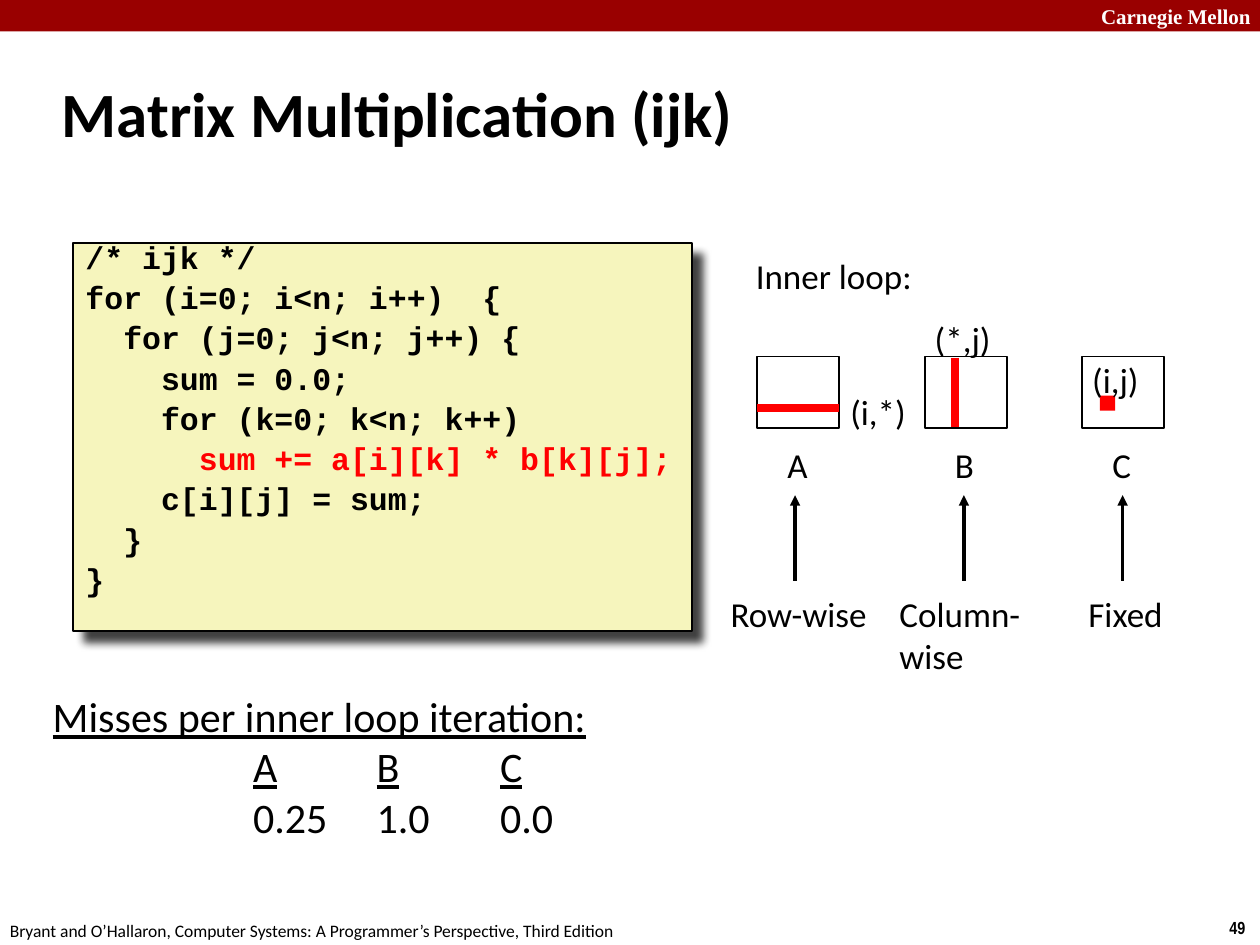
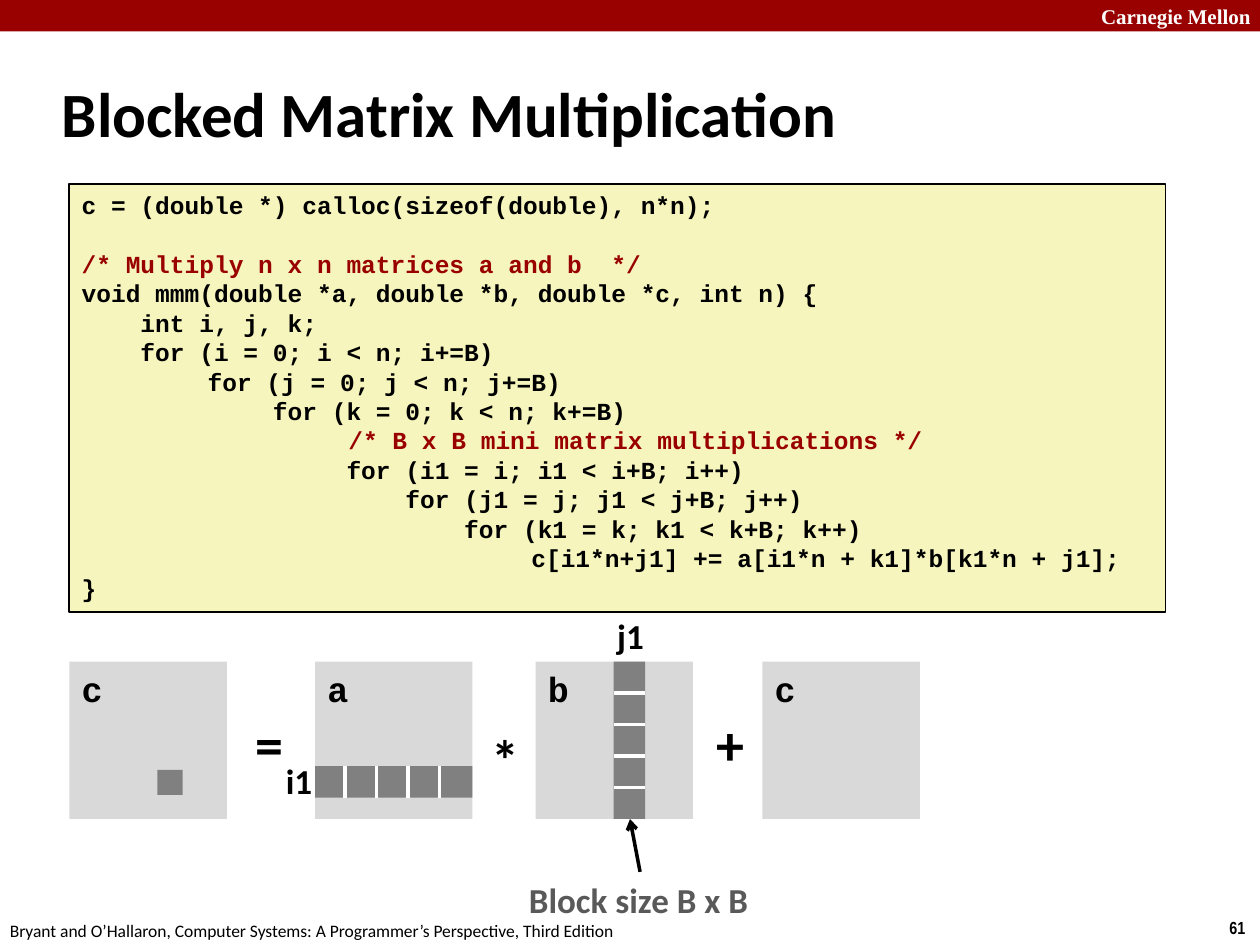
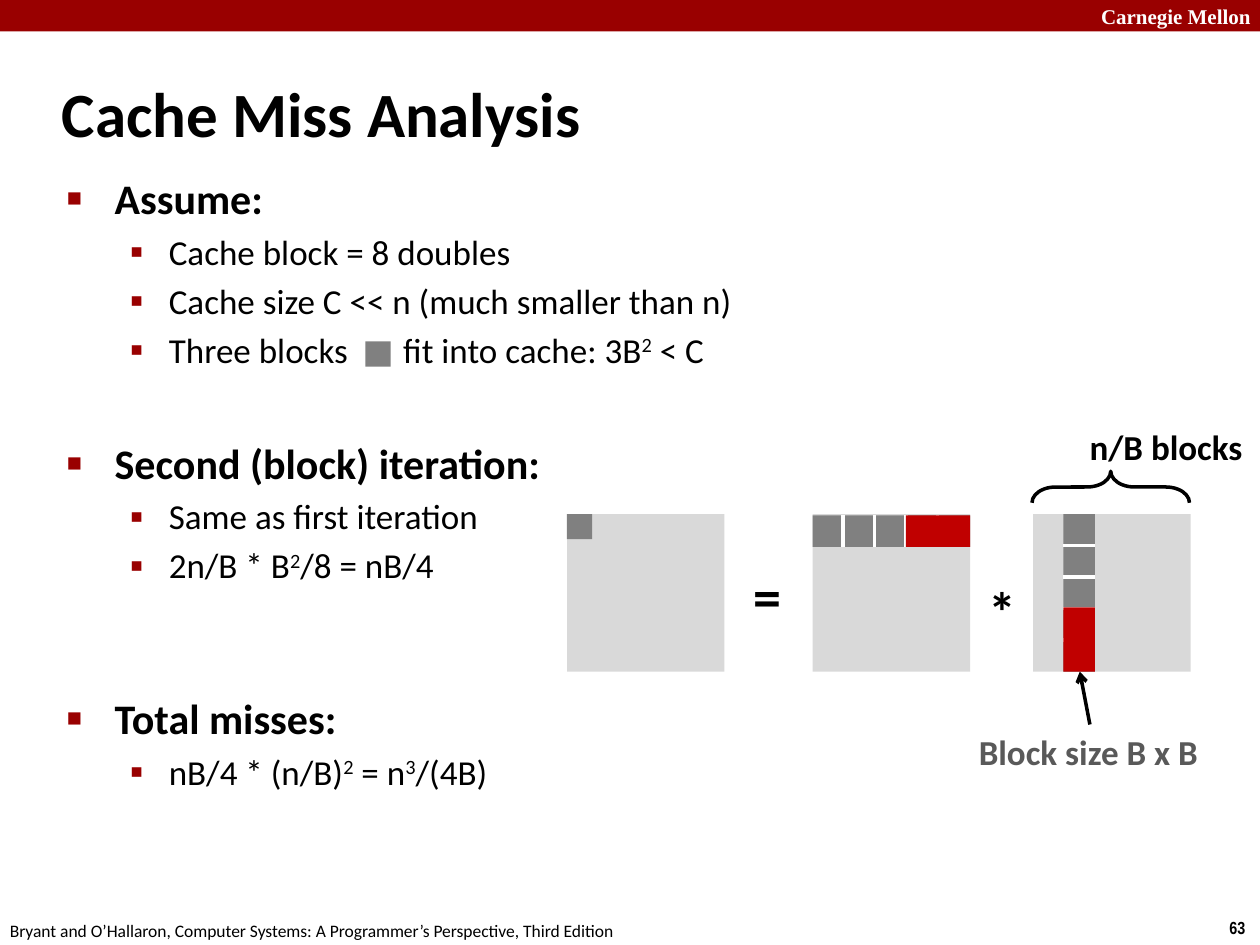
import dataclasses

import lxml.etree
import pptx
import pptx.dml.color
import pptx.enum.shapes
import pptx.enum.text
import pptx.oxml.ns
import pptx.util

Inches = pptx.util.Inches
Pt = pptx.util.Pt
qn = pptx.oxml.ns.qn
SHAPE = pptx.enum.shapes.MSO_SHAPE
ANCHOR = pptx.enum.text.MSO_ANCHOR
ALIGN = pptx.enum.text.PP_ALIGN


@dataclasses.dataclass(frozen=True)
class Theme:
    # Colours
    black: str = "000000"
    white: str = "FFFFFF"
    crimson: str = "990000"
    code_fill: str = "F6F5BD"
    red: str = "FF0000"
    miss: str = "C00000"
    matrix: str = "D9D9D9"
    block: str = "808080"
    caption: str = "595959"
    # Fonts
    sans: str = "Calibri"
    code: str = "Courier New"
    serif: str = "Times New Roman"
    narrow: str = "Arial Narrow"
    # Type sizes
    title: int = 36
    operator: int = 32
    heading: int = 24
    label: int = 20
    short_code: int = 18
    long_code: int = 14
    band: int = 12
    footer: int = 10


THEME = Theme()
FOOTER = "Bryant and O’Hallaron, Computer Systems: A Programmer’s Perspective, Third Edition"
MATRIX_SIDE = 1.25
STRIP = 0.25
SUPER = {"raised": True}


def rgb(color):
    return pptx.dml.color.RGBColor.from_string(color)


def child(parent, tag, **attributes):
    return lxml.etree.SubElement(parent, qn(tag), attributes)


def add_text(frame, text, *, size=THEME.label, font=THEME.sans, color=THEME.black,
             bold=False, before=None, leading=None, level=0, bullet=None, tabs=()):
    """Append a paragraph; text is a string or a list of strings and (string, format) pairs."""
    para = frame.paragraphs[0]
    first = len(frame.paragraphs) == 1 and not para.runs
    if not first:
        para = frame.add_paragraph()
    properties = para._p.get_or_add_pPr()
    if bullet:
        symbol, percent, margin, hang = bullet
        properties.set("marL", str(Inches(margin)))
        properties.set("indent", str(-Inches(hang)))
        child(child(properties, "a:buClr"), "a:srgbClr", val=THEME.crimson)
        child(properties, "a:buSzPct", val=str(percent * 1000))
        child(properties, "a:buFont", typeface="Arial")
        child(properties, "a:buChar", char=symbol)
    if tabs:
        stops = child(properties, "a:tabLst")
        for position in tabs:
            child(stops, "a:tab", pos=str(Inches(position)), algn="l")
    para.level = level
    para.alignment = ALIGN.LEFT
    para.space_before = Pt(0 if first else before or 0)
    if leading:
        para.line_spacing = leading
    for part in [text] if isinstance(text, str) else text:
        words, style = (part, {}) if isinstance(part, str) else part
        span = para.add_run()
        span.text = words
        span.font.size = Pt(size)
        span.font.name = font
        span.font.bold = bold
        span.font.underline = style.get("underline", False)
        span.font.color.rgb = rgb(style.get("color", color))
        if style.get("raised"):
            span._r.get_or_add_rPr().set("baseline", "30000")
        if "spacing" in style:
            span._r.get_or_add_rPr().set("spc", str(style["spacing"] * 100))


class Lecture:
    """Holds the deck, its style and the current page."""

    def __init__(self, theme):
        self.theme = theme
        self.deck = pptx.Presentation()
        self.deck.slide_width = Inches(10)
        self.deck.slide_height = Inches(7.5)
        self.page = None

    def start_page(self, title, number, layout="Title Only"):
        theme = self.theme
        self.page = self.deck.slides.add_slide(self.deck.slide_layouts.get_by_name(layout))
        # Band and footer
        self.rectangle(0, 0, 10, 0.25, theme.crimson)
        self.label(8.64, 0, 1.36, "Carnegie Mellon", height=0.25, anchor=ANCHOR.MIDDLE,
                   size=theme.band, font=theme.serif, color=theme.white, bold=True)
        self.label(9.66, 7.23, 0.34, str(number), height=0.27,
                   size=theme.footer, font=theme.narrow, bold=True)
        self.label(-0.02, 7.25, 5.08, FOOTER, height=0.27, size=theme.footer)
        # Title
        frame = self.place(self.page.shapes.title, 0.39, 0.48, 8.3, 0.83)
        frame.vertical_anchor = ANCHOR.MIDDLE
        add_text(frame, title, size=theme.title, bold=True)

    def place(self, holder, left, top, width, height):
        holder.left, holder.top = Inches(left), Inches(top)
        holder.width, holder.height = Inches(width), Inches(height)
        holder.text_frame.auto_size = pptx.enum.text.MSO_AUTO_SIZE.NONE
        return holder.text_frame

    def bullets(self, items):
        theme = self.theme
        frame = self.place(self.page.placeholders[1], 0.43, 1.32, 8.64, 5.84)
        for level, text, before in items:
            if level:
                add_text(frame, text, level=1, before=before, bullet=("▪", 110, 0.81, 0.31))
            else:
                add_text(frame, text, size=theme.heading, bold=True, before=before,
                         bullet=("■", 60, 0.38, 0.38))

    def label(self, left, top, width, *lines, height=0.44, anchor=ANCHOR.TOP, **style):
        box = self.page.shapes.add_textbox(Inches(left), Inches(top),
                                           Inches(width), Inches(height))
        frame = box.text_frame
        frame.word_wrap = True
        frame.margin_right = 0
        frame.vertical_anchor = anchor
        for line in lines:
            add_text(frame, line, **style)

    def shape(self, kind, left, top, width, height, fill=None, line=None, weight=1):
        shape = self.page.shapes.add_shape(kind, Inches(left), Inches(top),
                                           Inches(width), Inches(height))
        shape.shadow.inherit = False
        if fill:
            shape.fill.solid()
            shape.fill.fore_color.rgb = rgb(fill)
        else:
            shape.fill.background()
        if line:
            shape.line.color.rgb = rgb(line)
            shape.line.width = Pt(weight)
        else:
            shape.line.fill.background()
        shape.text_frame.vertical_anchor = ANCHOR.TOP
        return shape

    def rectangle(self, left, top, width, height, fill, line=None):
        return self.shape(SHAPE.RECTANGLE, left, top, width, height, fill, line)

    def code_box(self, left, top, width, height, lines, size, shadow=False, gaps=None,
                 before=0, **style):
        theme = self.theme
        box = self.rectangle(left, top, width, height, theme.code_fill, theme.black)
        if shadow:
            effects = box._element.spPr.find(qn("a:effectLst"))
            outer = child(effects, "a:outerShdw", blurRad=str(Pt(5)), dist=str(Pt(8.5)),
                          dir="2700000", algn="tl", rotWithShape="0")
            child(child(outer, "a:srgbClr", val=theme.black), "a:alpha", val="75000")
        for index, line in enumerate(lines):
            add_text(box.text_frame, line, size=size, font=theme.code, bold=True,
                     before=(gaps or {}).get(index, before), **style)

    def line(self, start, end, color, weight=2.0, arrow=None):
        connector = self.page.shapes.add_connector(
            pptx.enum.shapes.MSO_CONNECTOR.STRAIGHT,
            Inches(start[0]), Inches(start[1]), Inches(end[0]), Inches(end[1]))
        connector.line.color.rgb = rgb(color)
        connector.line.width = Pt(weight)
        properties = connector._element.spPr
        if arrow:
            child(properties.find(qn("a:ln")), "a:tailEnd", type=arrow)
        child(properties, "a:effectLst")

    def matrix(self, left, top, name=None):
        square = self.rectangle(left, top, MATRIX_SIDE, MATRIX_SIDE, self.theme.matrix)
        if name:
            add_text(square.text_frame, name, font=self.theme.code, bold=True)

    def block(self, left, top):
        self.rectangle(left, top, 0.2, 0.2, self.theme.block)

    def block_product(self, left, top, target, row, column, names=(None, None, None)):
        """Draw c = a * b with a marked block of c, block row of a and block column of b."""
        theme = self.theme
        for offset, name in zip((0, 1.95, 3.7), names):
            self.matrix(left + offset, top, name)
        for offset, drop, sign in ((1.38, 0.33, "="), (3.25, 0.45, "*")):
            self.label(left + offset, top + drop, 0.43, sign, height=0.64,
                       size=theme.operator, bold=True)
        self.block(left + target[0], top + target[1])
        # Block row and block column, cut into five
        row_left, row_top = left + 1.95, top + row
        column_left = left + 3.7 + column
        self.rectangle(row_left, row_top, MATRIX_SIDE, STRIP, theme.block)
        self.rectangle(column_left, top, STRIP, MATRIX_SIDE, theme.block)
        for cut in range(1, 5):
            x = row_left + cut * STRIP - 0.01
            y = top + cut * STRIP
            self.line((x, row_top), (x, row_top + STRIP), theme.white)
            self.line((column_left, y), (column_left + STRIP, y), theme.white)
        # Block size caption
        self.label(column_left - 0.77, top + 1.67, 1.96, "Block size B x B",
                   color=theme.caption, bold=True)
        self.line((column_left + 0.21, top + 1.67), (column_left + 0.13, top + MATRIX_SIDE),
                  theme.black, arrow="arrow")


def build_ijk(lecture):
    theme = lecture.theme
    lecture.start_page("Matrix Multiplication (ijk)", 49)
    lecture.code_box(0.58, 1.93, 4.91, 3.08, [
        "/* ijk */",
        "for (i=0; i<n; i++)  {",
        "  for (j=0; j<n; j++) {",
        "    sum = 0.0;",
        "    for (k=0; k<n; k++)",
        ["      ", ("sum += a[i][k] * b[k][j];", {"color": theme.red})],
        "    c[i][j] = sum;",
        "  }",
        "}",
    ], size=theme.short_code, shadow=True, before=9, leading=0.65)

    # Access pattern of each matrix
    lecture.label(5.9, 1.97, 1.45, "Inner loop:")
    for name, left, arrow, text_left, width, pattern in (
            ("A", 6.01, 6.31, 5.7, 1.3, ["Row-wise"]),
            ("B", 7.34, 7.65, 7.04, 1.17, ["Column-", "wise"]),
            ("C", 8.59, 8.91, 8.54, 0.8, ["Fixed"])):
        lecture.rectangle(left, 2.83, 0.65, 0.57, theme.white, theme.black)
        lecture.label(left + 0.14, 3.47, 0.36, name)
        lecture.line((arrow, 4.61), (arrow, 3.93), theme.black, arrow="triangle")
        lecture.label(text_left, 4.65, width, *pattern)
    lecture.line((7.58, 2.84), (7.58, 3.39), theme.red, 4.5)
    lecture.line((6.01, 3.24), (6.66, 3.24), theme.red, 4.5)
    lecture.rectangle(8.73, 3.14, 0.12, 0.12, theme.red)
    lecture.label(6.65, 3.05, 0.64, "(i,*)")
    lecture.label(7.32, 2.47, 0.65, "(*,j)")
    lecture.label(8.57, 2.8, 0.57, "(i,j)")

    # Miss rates
    under = {"underline": True}
    lecture.label(0.32, 5.43, 5.55,
                  [("Misses per inner loop iteration:", under)],
                  ["\t", ("A", under), "\t", ("B", under), "\t", ("C", under)],
                  "\t0.25\t1.0\t0.0",
                  height=1.33, size=theme.heading, tabs=(1.59, 2.57, 3.55))


def build_blocked(lecture):
    theme = lecture.theme
    comment = {"color": theme.crimson}
    lecture.start_page("Blocked Matrix Multiplication", 61)
    lecture.code_box(0.55, 1.46, 8.7, 3.4, [
        "c = (double *) calloc(sizeof(double), n*n);",
        [("/* Multiply n x n matrices a and b  */", comment)],
        "void mmm(double *a, double *b, double *c, int n) {",
        "    int i, j, k;",
        "    for (i = 0; i < n; i+=B)",
        "\tfor (j = 0; j < n; j+=B)",
        "             for (k = 0; k < n; k+=B)",
        ["\t\t ", ("/* B x B mini matrix multiplications */", comment)],
        "                  for (i1 = i; i1 < i+B; i++)",
        "                      for (j1 = j; j1 < j+B; j++)",
        "                          for (k1 = k; k1 < k+B; k++)",
        "\t                      c[i1*n+j1] += a[i1*n + k1]*b[k1*n + j1];",
        "}",
    ], size=theme.long_code, gaps={1: 16.8}, tabs=(1, 2))

    # c = a * b + c
    lecture.block_product(0.55, 5.25, target=(0.7, 0.86), row=0.83, column=0.62,
                          names=("c", "a", "b"))
    lecture.matrix(6.05, 5.25, "c")
    lecture.label(5.59, 5.58, 0.43, "+", height=0.64, size=theme.operator, bold=True)
    lecture.label(2.17, 5.98, 0.41, "i1", bold=True)
    lecture.label(4.8, 4.83, 0.42, "j1", bold=True)


def build_analysis(lecture):
    theme = lecture.theme
    lecture.start_page("Cache Miss Analysis", 63, layout="Title and Content")
    lecture.bullets([
        (0, "Assume:", 0),
        (1, "Cache block = 8 doubles", 4),
        (1, "Cache size C << n (much smaller than n)", 4),
        (1, ["Three blocks", (" ", {"spacing": 27}), "fit into cache: 3B",
             ("2", SUPER), " < C"], 4),
        (0, "Second (block) iteration:", 38.5),
        (1, "Same as first iteration", 4),
        (1, ["2n/B * B", ("2", SUPER), "/8 = nB/4"], 4),
        (0, "Total misses:", 61),
        (1, ["nB/4 * (n/B)", ("2", SUPER), " = n", ("3", SUPER), "/(4B)"], 4),
    ])
    lecture.block(2.9, 2.71)

    # Second block of c, with missing blocks in red
    lecture.block_product(4.5, 4.08, target=(0, 0), row=0.01, column=0.24)
    lecture.rectangle(7.19, 4.09, 0.51, STRIP, theme.miss)
    lecture.rectangle(8.44, 4.82, STRIP, 0.51, theme.miss)

    # Brace over the matrix with the block column
    brace = lecture.shape(SHAPE.LEFT_BRACE, 8.69, 3.24, 0.25, MATRIX_SIDE,
                          line=theme.black, weight=2)
    brace.rotation = 90
    brace.adjustments[0] = 0.75
    lecture.label(8.55, 3.33, 1.43, "n/B blocks", bold=True)


def main():
    lecture = Lecture(THEME)
    build_ijk(lecture)
    build_blocked(lecture)
    build_analysis(lecture)
    lecture.deck.save("out.pptx")


if __name__ == "__main__":
    main()
